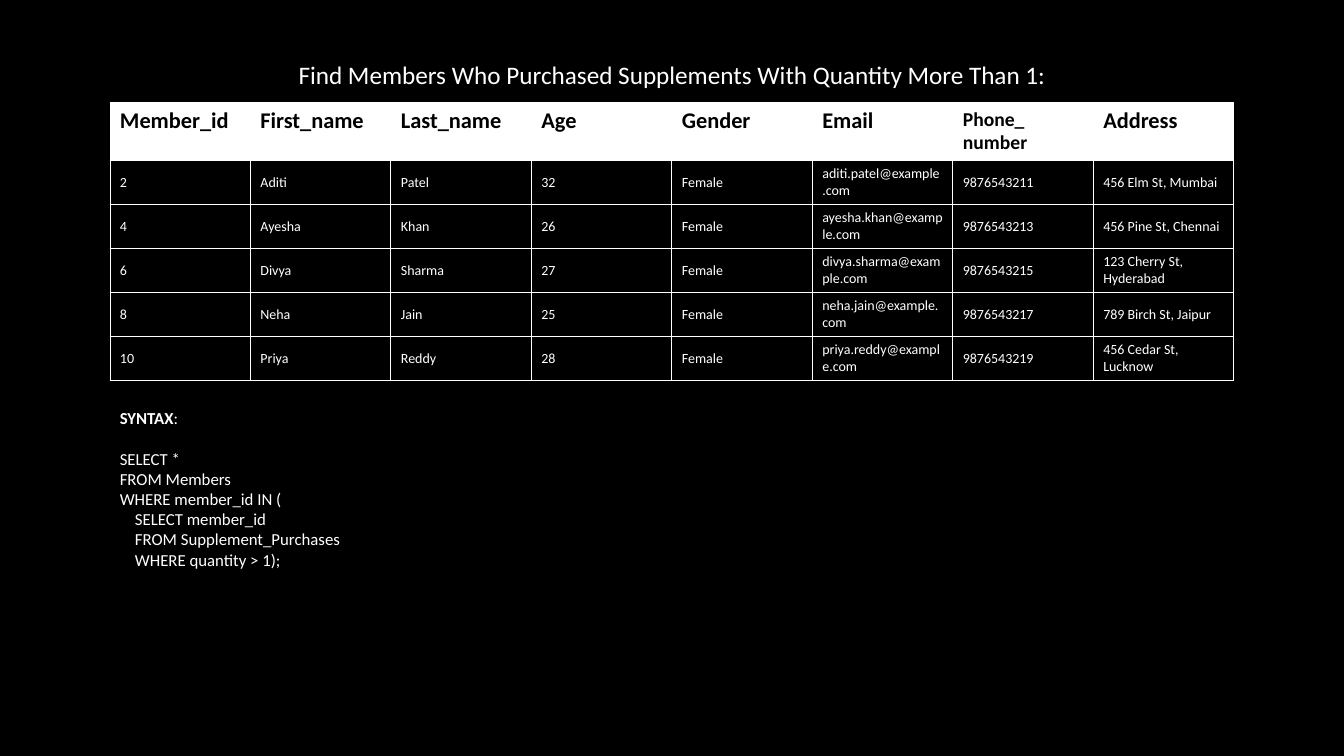
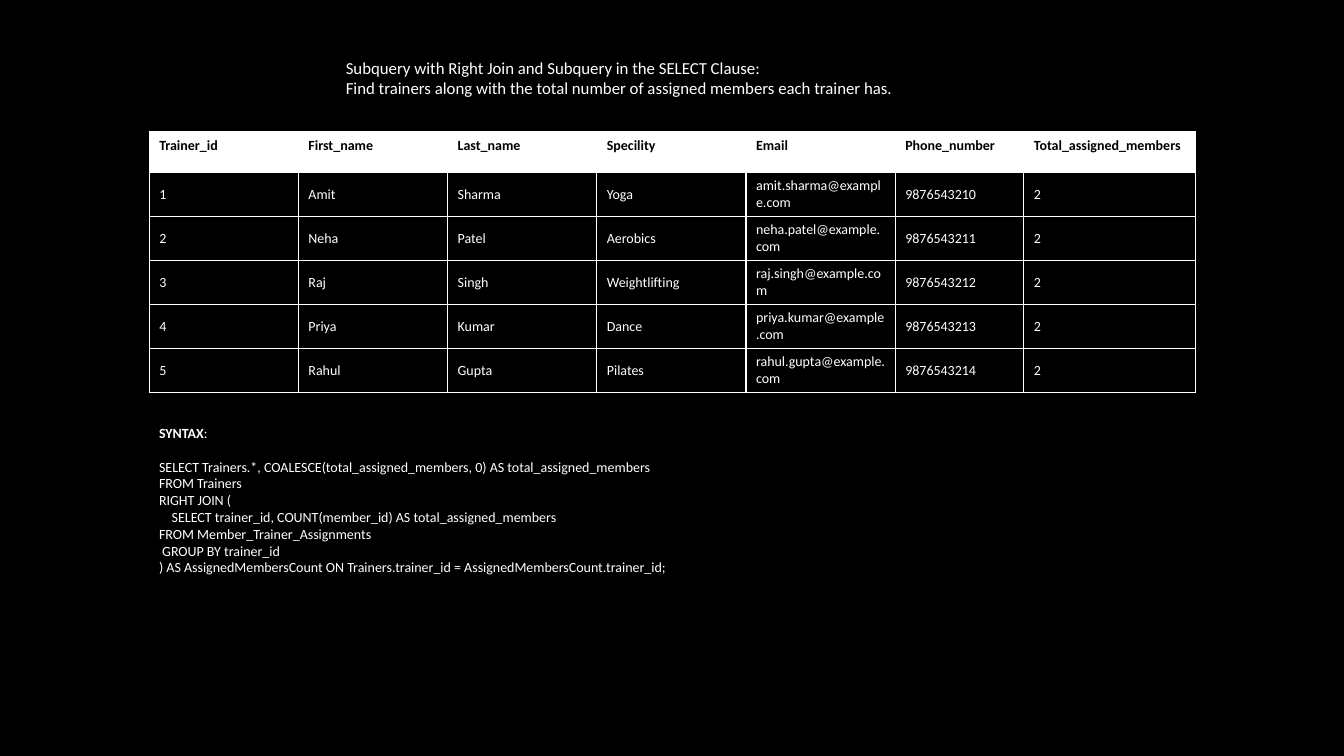
import pptx
import pptx.dml.color
import pptx.enum.text
import pptx.oxml
import pptx.oxml.ns
import pptx.util

Cm = pptx.util.Cm
Pt = pptx.util.Pt
ALIGN = pptx.enum.text.PP_ALIGN
ANCHOR = pptx.enum.text.MSO_ANCHOR

BLACK = pptx.dml.color.RGBColor(0, 0, 0)
WHITE = pptx.dml.color.RGBColor(255, 255, 255)
TITLE_ONLY = 5
LINE_HEIGHT = 1.2


class Deck:
    font_name = "Calibri"

    def __init__(self):
        self.presentation = pptx.Presentation()
        self.presentation.slide_width = Cm(33.87)
        self.presentation.slide_height = Cm(19.05)
        fill = self.presentation.slide_master.background.fill
        fill.solid()
        fill.fore_color.rgb = BLACK
        self.slide = None

    def add_slide(self):
        layout = self.presentation.slide_layouts[TITLE_ONLY]
        self.slide = self.presentation.slides.add_slide(layout)

    def style(self, paragraph, size, color=WHITE, bold=False, align=ALIGN.LEFT):
        paragraph.alignment = align
        font = paragraph.font
        font.name = self.font_name
        font.size = Pt(size)
        font.bold = bold
        font.color.rgb = color

    def title(self, text, left, top, width, height, size, align=ALIGN.LEFT):
        shape = self.slide.shapes.title
        shape.left, shape.top = Cm(left), Cm(top)
        shape.width, shape.height = Cm(width), Cm(height)
        frame = shape.text_frame
        frame.text = text
        frame.word_wrap = True
        frame.auto_size = pptx.enum.text.MSO_AUTO_SIZE.NONE
        frame.vertical_anchor = ANCHOR.TOP
        for paragraph in frame.paragraphs:
            self.style(paragraph, size, align=align)

    def border(self, cell, side, points):
        properties = cell._tc.get_or_add_tcPr()
        properties.append(pptx.oxml.parse_xml(
            f'<a:ln{side} {pptx.oxml.ns.nsdecls("a")} w="{Pt(points)}">'
            f'<a:solidFill><a:srgbClr val="{WHITE}"/></a:solidFill></a:ln{side}>'))

    def table(self, rows, left, top, column_widths, row_heights,
              header_sizes, right_border):
        last = len(column_widths) - 1
        frame = self.slide.shapes.add_table(
            len(rows), len(column_widths), Cm(left), Cm(top),
            Cm(sum(column_widths)), Cm(sum(row_heights)))
        table = frame.table
        table.horz_banding = False
        for column, width in zip(table.columns, column_widths):
            column.width = Cm(width)
        for row, height in zip(table.rows, row_heights):
            row.height = Cm(height)
        for row_index, values in enumerate(rows):
            header = row_index == 0
            for column_index, value in enumerate(values):
                cell = table.cell(row_index, column_index)
                self.border(cell, "L", 1 if column_index else 0.5)
                self.border(cell, "R", right_border if column_index == last else 1)
                self.border(cell, "T", 0.5 if header else 1)
                self.border(cell, "B", 1)
                cell.fill.solid()
                cell.fill.fore_color.rgb = WHITE if header else BLACK
                cell.vertical_anchor = ANCHOR.TOP if header else ANCHOR.MIDDLE
                cell.text = value
                self.style(cell.text_frame.paragraphs[0],
                           header_sizes[column_index] if header else 10,
                           BLACK if header else WHITE, header)

    def syntax(self, code, left, top, width, height, size):
        shape = self.slide.shapes.add_textbox(
            Cm(left), Cm(top), Cm(width), Cm(height))
        frame = shape.text_frame
        frame.word_wrap = True
        heading = frame.paragraphs[0]
        self.style(heading, size)
        heading.space_after = Pt(size * LINE_HEIGHT)
        label = heading.add_run()
        label.text = "SYNTAX"
        label.font.bold = True
        heading.add_run().text = ":"
        for line in code.splitlines():
            paragraph = frame.add_paragraph()
            paragraph.text = line
            self.style(paragraph, size)


MEMBERS = [
    ("Member_id", "First_name", "Last_name", "Age", "Gender", "Email",
     "Phone_ number", "Address"),
    ("2", "Aditi", "Patel", "32", "Female", "aditi.patel@example.com",
     "9876543211", "456 Elm St, Mumbai"),
    ("4", "Ayesha", "Khan", "26", "Female", "ayesha.khan@example.com",
     "9876543213", "456 Pine St, Chennai"),
    ("6", "Divya", "Sharma", "27", "Female", "divya.sharma@example.com",
     "9876543215", "123 Cherry St, Hyderabad"),
    ("8", "Neha", "Jain", "25", "Female", "neha.jain@example.com",
     "9876543217", "789 Birch St, Jaipur"),
    ("10", "Priya", "Reddy", "28", "Female", "priya.reddy@example.com",
     "9876543219", "456 Cedar St, Lucknow"),
]

MEMBERS_QUERY = """SELECT *
FROM Members
WHERE member_id IN (
    SELECT member_id
    FROM Supplement_Purchases
    WHERE quantity > 1);"""

TRAINERS = [
    ("Trainer_id", "First_name", "Last_name", "Specility", "Email",
     "Phone_number", "Total_assigned_members"),
    ("1", "Amit", "Sharma", "Yoga", "amit.sharma@example.com", "9876543210", "2"),
    ("2", "Neha", "Patel", "Aerobics", "neha.patel@example.com", "9876543211", "2"),
    ("3", "Raj", "Singh", "Weightlifting", "raj.singh@example.com", "9876543212", "2"),
    ("4", "Priya", "Kumar", "Dance", "priya.kumar@example.com", "9876543213", "2"),
    ("5", "Rahul", "Gupta", "Pilates", "rahul.gupta@example.com", "9876543214", "2"),
]

TRAINERS_QUERY = """SELECT Trainers.*, COALESCE(total_assigned_members, 0) AS total_assigned_members
FROM Trainers
RIGHT JOIN (
    SELECT trainer_id, COUNT(member_id) AS total_assigned_members
FROM Member_Trainer_Assignments
 GROUP BY trainer_id
) AS AssignedMembersCount ON Trainers.trainer_id = AssignedMembersCount.trainer_id;"""


def main():
    deck = Deck()

    deck.add_slide()
    deck.title("Find Members Who Purchased Supplements With Quantity More Than 1:",
               6.55, 1.37, 20.78, 1.02, 18, ALIGN.CENTER)
    deck.table(MEMBERS, 2.77, 2.58, [3.54] * 8, [1.04] * 6,
               [16] * 6 + [14, 16], 0.5)
    deck.syntax(MEMBERS_QUERY, 2.77, 10.16, 16.94, 4.37, 12)

    deck.add_slide()
    deck.title("Subquery with Right Join and Subquery in the SELECT Clause:\n"
               "Find trainers along with the total number of assigned members "
               "each trainer has.",
               8.46, 1.32, 16.94, 1.27, 12)
    deck.table(TRAINERS, 3.76, 3.32, [3.76] * 5 + [3.24, 4.32],
               [1.02] + [0.97] * 5, [10] * 7, 1)
    deck.syntax(TRAINERS_QUERY, 3.76, 10.57, 16.94, 4.11, 10)

    deck.presentation.save("out.pptx")


if __name__ == "__main__":
    main()
